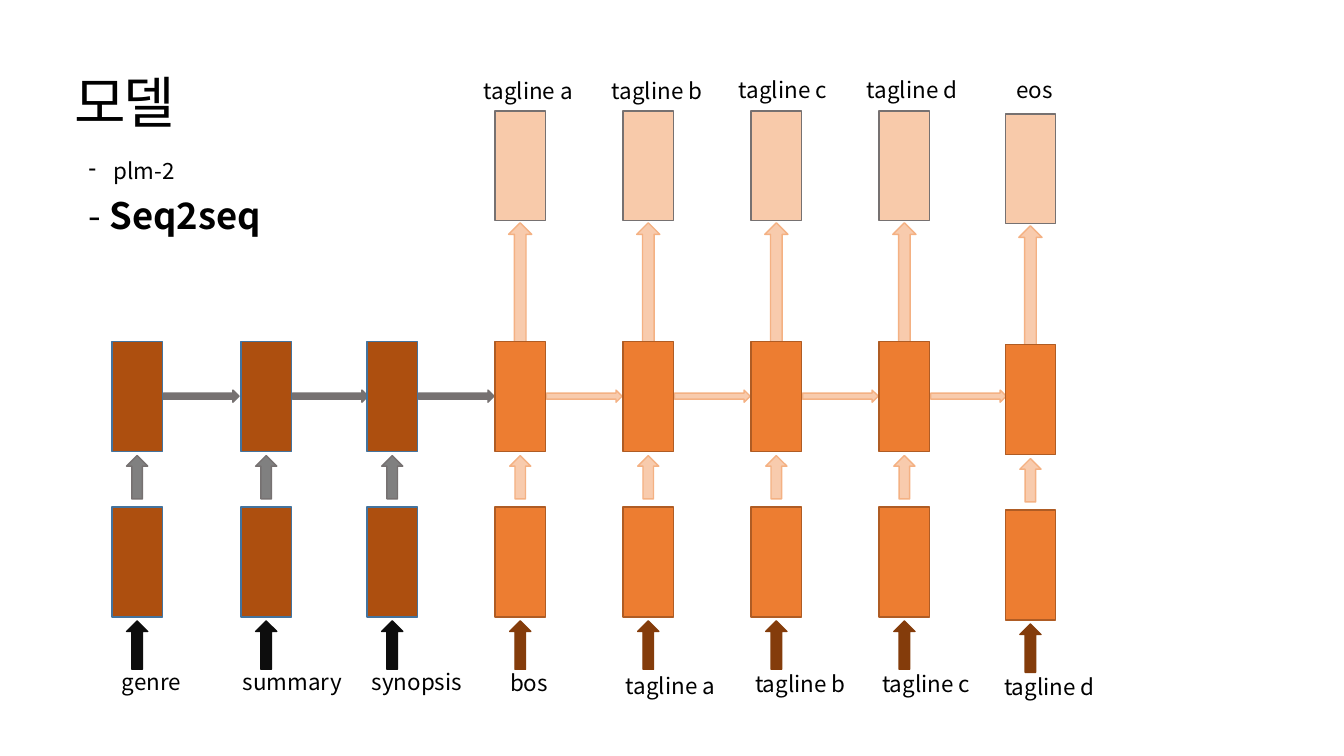
import pptx
import pptx.util
import pptx.dml.color
import pptx.enum.shapes
import pptx.enum.text
import pptx.oxml.ns
import lxml.etree

Inches = pptx.util.Inches
Pt = pptx.util.Pt
RGBColor = pptx.dml.color.RGBColor
Kind = pptx.enum.shapes.MSO_SHAPE

BLACK = RGBColor(0x00, 0x00, 0x00)
INK = RGBColor(0x0D, 0x0D, 0x0D)
GRAY = RGBColor(0x80, 0x80, 0x80)
SLATE = RGBColor(0x76, 0x71, 0x71)
BROWN = RGBColor(0xAD, 0x4F, 0x0F)
BLUE = RGBColor(0x43, 0x73, 0x9E)
ORANGE = RGBColor(0xED, 0x7D, 0x31)
RUST = RGBColor(0xAF, 0x5C, 0x24)
DARK = RGBColor(0x84, 0x3C, 0x0B)
PEACH = RGBColor(0xF8, 0xCB, 0xAD)
SAND = RGBColor(0xF4, 0xB1, 0x83)
CREAM = RGBColor(0xF8, 0xCA, 0xAA)

FONT = "Noto Sans CJK KR"
BOX_W, BOX_H = 0.5, 1.09
LEFTS = [1.11, 2.39, 3.64, 4.91, 6.18, 7.45, 8.72, 9.97]
FIRST_OUT = 3
INPUTS = [
    ("genre", 1.11, 6.58, 1.01),
    ("summary", 2.31, 6.58, 1.48),
    ("synopsis", 3.59, 6.58, 1.53),
    ("bos", 4.96, 6.59, 1.42),
    ("tagline a", 6.11, 6.62, 1.42),
    ("tagline b", 7.39, 6.6, 1.42),
    ("tagline c", 8.65, 6.6, 1.42),
    ("tagline d", 9.86, 6.63, 1.42),
]
OUTPUTS = [
    ("tagline a", 4.7, 0.72, 1.42),
    ("tagline b", 5.97, 0.72, 1.42),
    ("tagline c", 7.23, 0.71, 1.42),
    ("tagline d", 8.5, 0.71, 1.42),
    ("eos", 9.98, 0.71, 0.75),
]


def add_part(slide, kind, left, top, width, height, fill, line):
    part = slide.shapes.add_shape(
        kind, Inches(left), Inches(top), Inches(width), Inches(height))
    part.shadow.inherit = False
    part.fill.solid()
    part.fill.fore_color.rgb = fill
    part.line.color.rgb = line
    part.line.width = Pt(1)


def add_cell(slide, left, top, fill, line):
    add_part(slide, Kind.RECTANGLE, left, top, BOX_W, BOX_H, fill, line)


def add_rise(slide, left, top, width, height, fill, line):
    start = left + (BOX_W - width) / 2
    add_part(slide, Kind.UP_ARROW, start, top, width, height, fill, line)


def add_frame(slide, left, top, width, height):
    box = slide.shapes.add_textbox(
        Inches(left), Inches(top), Inches(width), Inches(height))
    box.text_frame.word_wrap = True
    return box.text_frame


def add_run(para, text, size=16, bold=False, font=FONT):
    run = para.add_run()
    run.text = text
    run.font.size = Pt(size)
    run.font.bold = bold
    run.font.name = font
    run.font.color.rgb = BLACK
    east = lxml.etree.SubElement(run.font._element, pptx.oxml.ns.qn("a:ea"))
    east.set("typeface", font)
    return run


def add_label(slide, text, left, top, width):
    frame = add_frame(slide, left, top, width, 0.37)
    add_run(frame.paragraphs[0], text)


def add_title(slide):
    frame = add_frame(slide, 0.64, 0.32, 4.53, 1.45)
    frame.vertical_anchor = pptx.enum.text.MSO_ANCHOR.MIDDLE
    para = frame.paragraphs[0]
    para.line_spacing = 0.9
    run = add_run(para, "모델", 40, font="Noto Sans")
    run.font._element.set("spc", "-150")


def add_models(slide):
    frame = add_frame(slide, 0.78, 1.54, 2.75, 1.56)
    first, second = frame.paragraphs[0], frame.add_paragraph()
    for para in (first, second):
        para.line_spacing = 0.9
        para.space_before = Pt(10)
    props = first._p.get_or_add_pPr()
    props.set("marL", str(Inches(0.25)))
    props.set("indent", str(-Inches(0.25)))
    mark = lxml.etree.SubElement(props, pptx.oxml.ns.qn("a:buChar"))
    mark.set("char", "-")
    add_run(first, "plm-2")
    add_run(second, "- ", 26)
    add_run(second, "Seq2seq", 26, True)


def add_step(slide, index, left):
    last = index == len(LEFTS) - 1
    drop = 0.03 if last else 0
    decode = index >= FIRST_OUT
    cell = (ORANGE, RUST) if decode else (BROWN, BLUE)
    feed = (DARK, DARK) if decode else (INK, INK)
    link = (PEACH, SAND) if decode else (GRAY, SLATE)
    flow = (PEACH, SAND) if decode else (SLATE, SLATE)
    if not last:
        add_part(slide, Kind.RIGHT_ARROW, left + 0.51, 3.87, 0.75, 0.12, *flow)
    if decode:
        add_rise(slide, left, 2.21 + drop, 0.23, 1.32, *link)
        add_cell(slide, left, 1.1 + drop, CREAM, SLATE)
    for top in (3.39, 5.03):
        add_cell(slide, left, top + drop, *cell)
    add_rise(slide, left, 4.52 + drop, 0.21, 0.43, *link)
    add_rise(slide, left, 6.16 + drop, 0.21, 0.48, *feed)


def main():
    deck = pptx.Presentation()
    deck.slide_width = Inches(13.33)
    deck.slide_height = Inches(7.5)
    slide = deck.slides.add_slide(deck.slide_layouts[6])
    add_title(slide)
    add_models(slide)
    for index, left in enumerate(LEFTS):
        add_step(slide, index, left)
    for label in INPUTS + OUTPUTS:
        add_label(slide, *label)
    deck.save("out.pptx")


if __name__ == "__main__":
    main()
